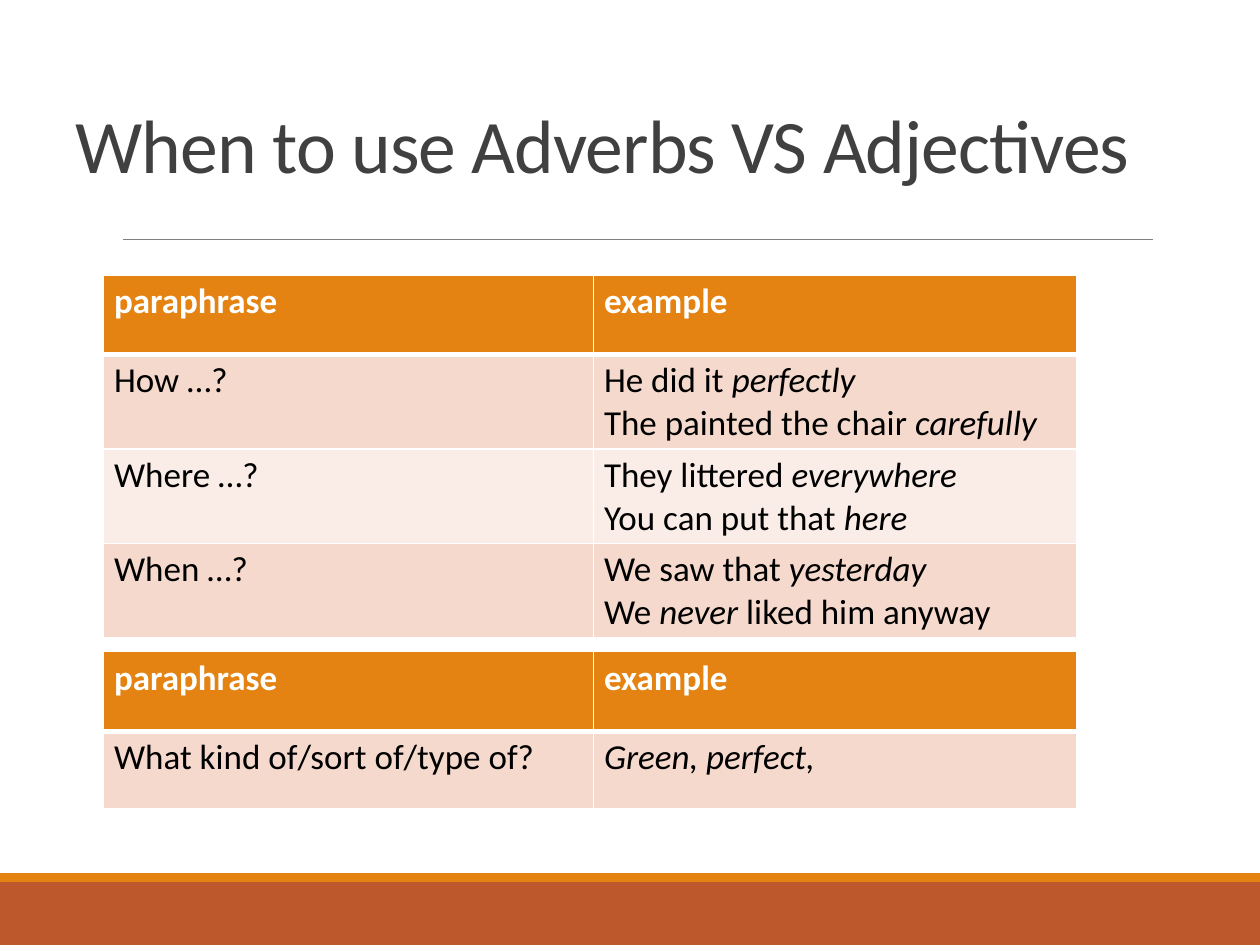
from lxml.etree import SubElement
from pptx import Presentation
from pptx.dml.color import RGBColor
from pptx.enum.shapes import MSO_CONNECTOR, MSO_SHAPE
from pptx.enum.text import MSO_ANCHOR
from pptx.oxml import parse_xml
from pptx.oxml.ns import nsdecls, qn
from pptx.util import Pt

COLORS = {
    "white": "FFFFFF",
    "orange": "E48312",
    "rust": "BD582C",
    "rule": "808080",
    "title": "404040",
    "text": "000000",
    "band_dark": "F5D9CC",
    "band_light": "FAEDE7",
}
HEADER = ["paraphrase", "example"]
ADVERBS = [
    HEADER,
    ["How …?", "He did it *perfectly*\nThe painted the chair *carefully*"],
    ["Where …?", "They littered *everywhere*\nYou can put that *here*"],
    ["When …?", "We saw that *yesterday*\nWe *never *liked him anyway"],
]
ADJECTIVES = [HEADER, ["What kind of/sort of/type of?", "*Green, perfect,*"]]
COLUMNS = [280, 276]
HEADER_HEIGHT, ROW_HEIGHT = 45.5, 44


def rgb(name):
    return RGBColor.from_string(COLORS[name])


def set_font(r, color, **values):
    r.font.color.rgb = rgb(color)
    for name, value in {"name": "Calibri", **values}.items():
        setattr(r.font, name, value)


def add_bar(slide, x, y, w, h, color):
    sp = slide.shapes.add_shape(MSO_SHAPE.RECTANGLE, Pt(x), Pt(y), Pt(w), Pt(h))
    sp.shadow.inherit = False
    sp.fill.solid()
    sp.fill.fore_color.rgb = rgb(color)
    sp.line.fill.background()


def add_rule(slide, x, y, w):
    line = slide.shapes.add_connector(
        MSO_CONNECTOR.STRAIGHT, Pt(x), Pt(y), Pt(x + w), Pt(y))
    line.line.color.rgb = rgb("rule")
    line.line.width = Pt(0.5)
    SubElement(line._element.spPr, qn("a:effectLst"))


def add_title(slide, x, y, w, h, text):
    tf = slide.shapes.add_textbox(Pt(x), Pt(y), Pt(w), Pt(h)).text_frame
    tf.word_wrap = True
    tf.vertical_anchor = MSO_ANCHOR.BOTTOM
    p = tf.paragraphs[0]
    p.line_spacing = 0.85
    r = p.add_run()
    r.text = text
    set_font(r, "title", size=Pt(43.2))
    r._r.get_or_add_rPr().set("spc", "-50")


def set_borders(cell, top, bottom):
    tc_pr = cell._tc.get_or_add_tcPr()
    for side, width in {"L": 1, "R": 1, "T": top, "B": bottom}.items():
        tc_pr.append(parse_xml(
            f'<a:ln{side} {nsdecls("a")} w="{Pt(width)}"><a:solidFill>'
            f'<a:srgbClr val="{COLORS["white"]}"/></a:solidFill></a:ln{side}>'))


def fill_cell(cell, text, row):
    margins = {"margin_left": 6, "margin_right": 6, "margin_top": 3, "margin_bottom": 3}
    for name, value in margins.items():
        setattr(cell, name, Pt(value))
    set_borders(cell, 3 if row == 1 else 1, 3 if row == 0 else 1)
    cell.fill.solid()
    band = "band_dark" if row % 2 else "band_light"
    cell.fill.fore_color.rgb = rgb(band if row else "orange")
    tf = cell.text_frame
    for i, line in enumerate(text.split("\n")):
        p = tf.add_paragraph() if i else tf.paragraphs[0]
        for j, part in enumerate(line.split("*")):
            if part:
                r = p.add_run()
                r.text = part
                set_font(r, "text" if row else "white", size=Pt(20),
                         bold=row == 0, italic=j % 2 == 1)


def add_grid(slide, x, y, rows):
    height = HEADER_HEIGHT + ROW_HEIGHT * (len(rows) - 1)
    table = slide.shapes.add_table(
        len(rows), len(COLUMNS), Pt(x), Pt(y), Pt(sum(COLUMNS)), Pt(height)).table
    table.horz_banding = False
    for column, width in zip(table.columns, COLUMNS):
        column.width = Pt(width)
    for i, texts in enumerate(rows):
        table.rows[i].height = Pt(ROW_HEIGHT if i else HEADER_HEIGHT)
        for j, text in enumerate(texts):
            fill_cell(table.cell(i, j), text, i)


def main():
    prs = Presentation()
    prs.slide_width, prs.slide_height = Pt(720), Pt(540)
    slide = prs.slides.add_slide(prs.slide_layouts[6])
    add_bar(slide, 0, 504, 720, 36, "rust")
    add_bar(slide, 0, 499, 720, 5, "orange")
    add_rule(slide, 70.5, 136.8, 588.5)
    add_title(slide, 36, 21.6, 648, 90, "When to use Adverbs VS Adjectives")
    add_grid(slide, 59.2, 157, ADVERBS)
    add_grid(slide, 59.2, 372.4, ADJECTIVES)
    prs.save("out.pptx")


if __name__ == "__main__":
    main()
